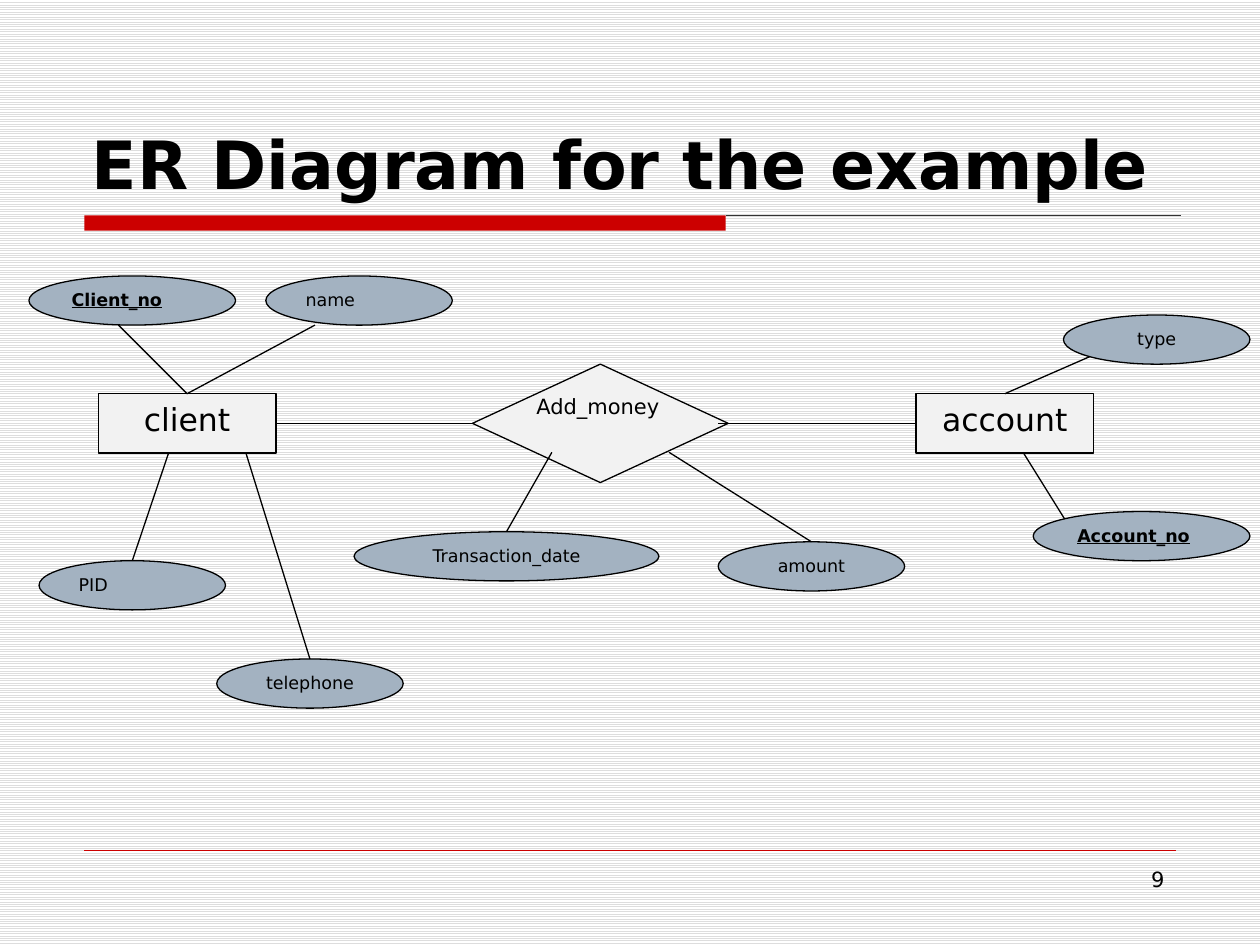
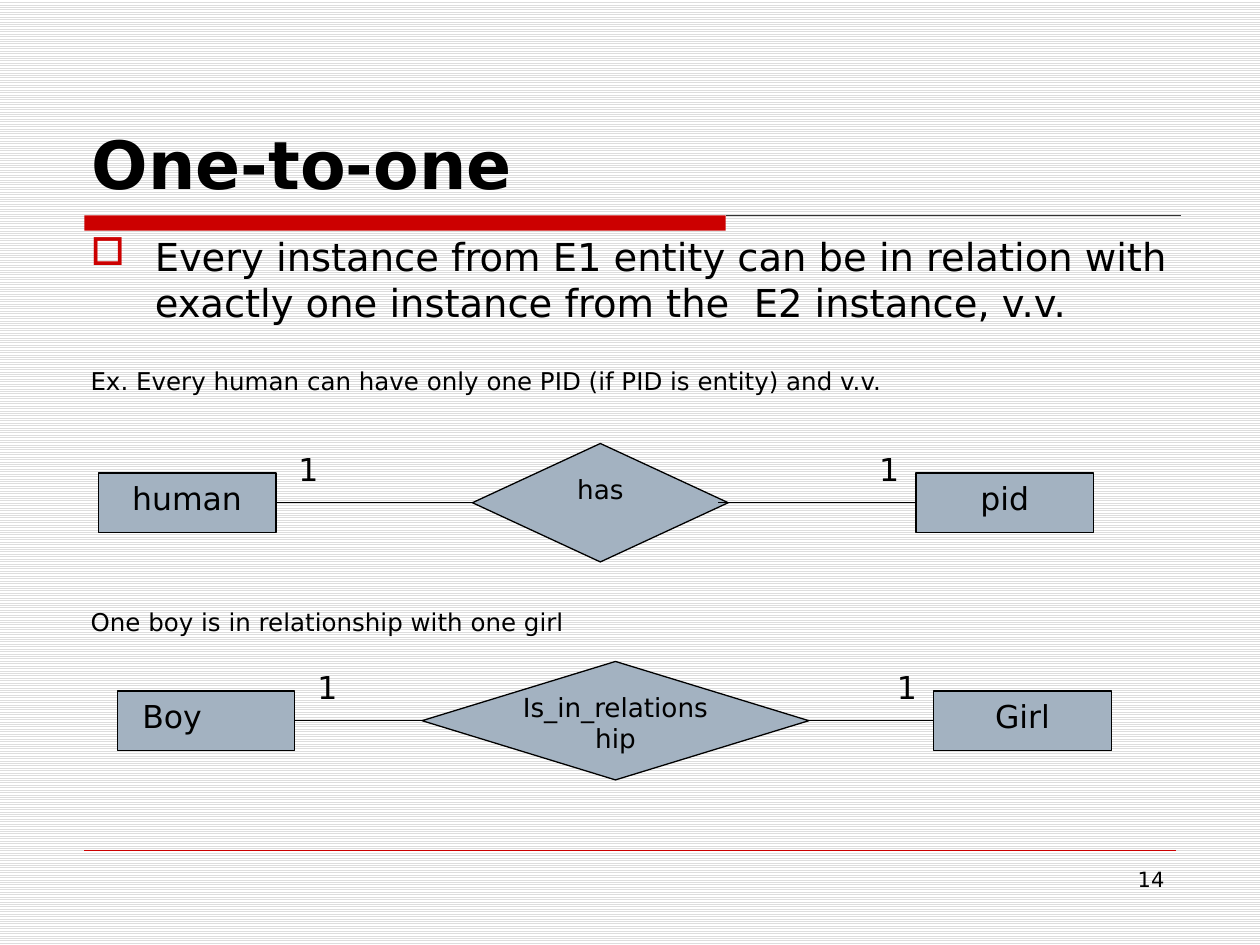
from lxml import etree
from pptx import Presentation
from pptx.dml.color import RGBColor
from pptx.enum.dml import MSO_PATTERN
from pptx.enum.shapes import MSO_CONNECTOR, MSO_SHAPE as SHAPE
from pptx.enum.text import MSO_ANCHOR as ANCHOR, PP_ALIGN as ALIGN
from pptx.oxml.ns import qn
from pptx.util import Inches, Pt

COLORS = {
    "text": "000000",
    "line": "000000",
    "rule": "333333",
    "accent": "CC0000",
    "pale": "F2F2F2",
    "blue": "A3B2C1",
    "stripe": "DDDDDD",
    "paper": "FFFFFF",
}
FONT = "DejaVu Sans"
TOP, LEFT, BOTTOM, RIGHT = range(4)
ENTITY_W, ENTITY_H = 1.41, 0.47
OVAL_H = 0.39


def rgb(name):
    return RGBColor.from_string(COLORS[name])


def inches(*values):
    return [Inches(v) for v in values]


def style(p, size, bold=False, underline=False, align=ALIGN.LEFT):
    p.alignment = align
    for r in p.runs:
        font = r.font
        font.name, font.size, font.bold = FONT, Pt(size), bold
        font.underline = underline
        font.color.rgb = rgb("text")


def add_text(s, box, text, size, wrap=True, anchor=ANCHOR.TOP, **look):
    tf = s.shapes.add_textbox(*inches(*box)).text_frame
    tf.word_wrap = wrap
    tf.vertical_anchor = anchor
    tf.text = text
    style(tf.paragraphs[0], size, **look)


def add_node(s, kind, box, text, size, fill, inset=0.1, **look):
    sp = s.shapes.add_shape(kind, *inches(*box))
    sp.shadow.inherit = False
    sp.fill.solid()
    sp.fill.fore_color.rgb = rgb(fill)
    sp.line.color.rgb = rgb("line")
    sp.line.width = Pt(0.75)
    tf = sp.text_frame
    tf.word_wrap = True
    tf.vertical_anchor = ANCHOR.TOP
    tf.margin_left = tf.margin_right = Inches(inset)
    tf.margin_top = tf.margin_bottom = Inches(min(inset, 0.05))
    tf.text = text
    style(tf.paragraphs[0], size, **look)
    return sp


def add_line(s, start, end, color="line", width=0.75):
    cn = s.shapes.add_connector(MSO_CONNECTOR.STRAIGHT, *inches(*start, *end))
    cn.line.color.rgb = rgb(color)
    cn.line.width = Pt(width)
    etree.SubElement(cn._element.spPr, qn("a:effectLst"))
    return cn


def add_slide(prs, title, number):
    s = prs.slides.add_slide(prs.slide_layouts[6])
    fill = s.background.fill
    fill.patterned()
    fill.pattern = MSO_PATTERN.LIGHT_HORIZONTAL
    fill.fore_color.rgb = rgb("stripe")
    fill.back_color.rgb = rgb("paper")
    bar = s.shapes.add_shape(SHAPE.RECTANGLE, *inches(0.67, 1.71, 5.09, 0.12))
    bar.shadow.inherit = False
    bar.fill.solid()
    bar.fill.fore_color.rgb = rgb("accent")
    bar.line.fill.background()
    add_line(s, (5.76, 1.71), (9.37, 1.71), "rule")
    add_line(s, (0.67, 6.75), (9.33, 6.75), "accent", 0.25)
    add_text(s, (0.63, 0.33, 8.75, 1.33), title, 38, anchor=ANCHOR.BOTTOM, bold=True)
    add_text(s, (7.17, 6.83, 2.17, 0.52), str(number), 12, align=ALIGN.RIGHT)
    return s


def add_relation(s, box, names, diamond, fill, size, align=ALIGN.CENTER,
                 overlap=0.08, left_look=None):
    x, y, w, h = box
    offset, diamond_w = diamond
    left_name, verb, right_name = names
    entity_y = y + (h - ENTITY_H) / 2
    right_x = x + w - ENTITY_W
    centered = {"align": ALIGN.CENTER}
    left = add_node(s, SHAPE.RECTANGLE, (x, entity_y, ENTITY_W, ENTITY_H),
                    left_name, 18, fill, **(left_look or centered))
    right = add_node(s, SHAPE.RECTANGLE, (right_x, entity_y, ENTITY_W, ENTITY_H),
                     right_name, 18, fill, **centered)
    link = add_node(s, SHAPE.DIAMOND, (x + offset, y, diamond_w, h),
                    verb, size, fill, inset=0, align=align)
    mid = y + h / 2
    cn = add_line(s, (x + offset, mid), (x + ENTITY_W, mid))
    cn.begin_connect(link, LEFT)
    cn.end_connect(left, RIGHT)
    cn = add_line(s, (right_x, mid), (x + offset + diamond_w - overlap, mid))
    cn.begin_connect(right, LEFT)
    if not overlap:
        cn.end_connect(link, RIGHT)
    return left, right


def add_cardinalities(s, box):
    x, y, w, _ = box
    for label_x in (x + 1.49, x + w - ENTITY_W - 0.39):
        add_text(s, (label_x, y, 0.36, 0.4), "1", 18, wrap=False)


def add_er_diagram(s, box):
    x, y = box[:2]
    client, account = add_relation(
        s, (x + 0.55, y + 0.7, 7.9, 0.94), ("client", "Add_money", "account"),
        (2.97, 2.03), "pale", 12, align=ALIGN.LEFT)

    key = {"bold": True, "underline": True}
    centered = {"align": ALIGN.CENTER}
    attributes = [
        ("Client_no", 0, 0, 1.64, key),
        ("name", 1.88, 0, 1.48, {}),
        ("PID", 0.08, 2.26, 1.48, {}),
        ("telephone", 1.49, 3.04, 1.48, centered),
        ("Transaction_date", 2.58, 2.03, 2.42, centered),
        ("amount", 5.47, 2.11, 1.48, centered),
        ("Account_no", 7.97, 1.87, 1.72, key),
        ("type", 8.21, 0.31, 1.48, centered),
    ]
    ovals = {
        name: add_node(s, SHAPE.OVAL, (x + dx, y + dy, w, OVAL_H), name, 10, "blue", **look)
        for name, dx, dy, w, look in attributes
    }
    links = [
        (0.71, 0.39, client),
        (2.27, 0.39, client),
        (8.42, 0.64, account),
        (1.11, 1.4, ovals["PID"]),
        (1.72, 1.4, ovals["telephone"]),
        (4.15, 1.4, ovals["Transaction_date"]),
        (5.08, 1.4, ovals["amount"]),
    ]
    for dx, dy, target in links:
        start = (x + dx, y + dy)
        add_line(s, start, start).end_connect(target, TOP)
    add_line(s, (x + 7.89, y + 1.4), (x + 8.22, y + 1.93))


def add_bullet(p, char, indent):
    pPr = p._p.get_or_add_pPr()
    pPr.set("marL", str(Inches(indent)))
    pPr.set("indent", str(-Inches(indent)))
    color = etree.SubElement(pPr, qn("a:buClr"))
    etree.SubElement(color, qn("a:srgbClr")).set("val", COLORS["accent"])
    etree.SubElement(pPr, qn("a:buChar")).set("char", char)


def add_body(s, box, rule, examples):
    tf = s.shapes.add_textbox(*inches(*box)).text_frame
    tf.word_wrap = True
    p = tf.paragraphs[0]
    p.text = rule
    add_bullet(p, "□", 0.51)
    style(p, 22)
    for text, gap in examples:
        p = tf.add_paragraph()
        p.text = text
        p.space_before = Pt(gap)
        style(p, 14)


def build_example(prs):
    s = add_slide(prs, "ER Diagram for the example", 9)
    add_er_diagram(s, (0.23, 2.19, 9.69, 3.43))


def build_one_to_one(prs):
    s = add_slide(prs, "One-to-one", 14)
    add_body(
        s, (0.62, 1.8, 8.98, 4.67),
        "Every instance from E1 entity can be in relation with exactly one "
        "instance from the  E2 instance, v.v.",
        [("Ex. Every human can have only one PID (if PID is entity) and v.v.", 23),
         ("One boy is in relationship with one girl", 121.4)])
    human_box = (0.78, 3.52, 7.9, 0.94)
    couple_box = (0.93, 5.25, 7.89, 0.94)
    add_relation(s, human_box, ("human", "has", "pid"), (2.97, 2.03), "blue", 15)
    add_relation(s, couple_box, ("Boy", "Is_in_relationship", "Girl"), (2.42, 3.07),
                 "blue", 15, overlap=0, left_look={"inset": 0.2})
    for box in (human_box, couple_box):
        add_cardinalities(s, box)


def main():
    prs = Presentation()
    prs.slide_width, prs.slide_height = inches(10, 7.5)
    build_example(prs)
    build_one_to_one(prs)
    prs.save("out.pptx")


if __name__ == "__main__":
    main()
